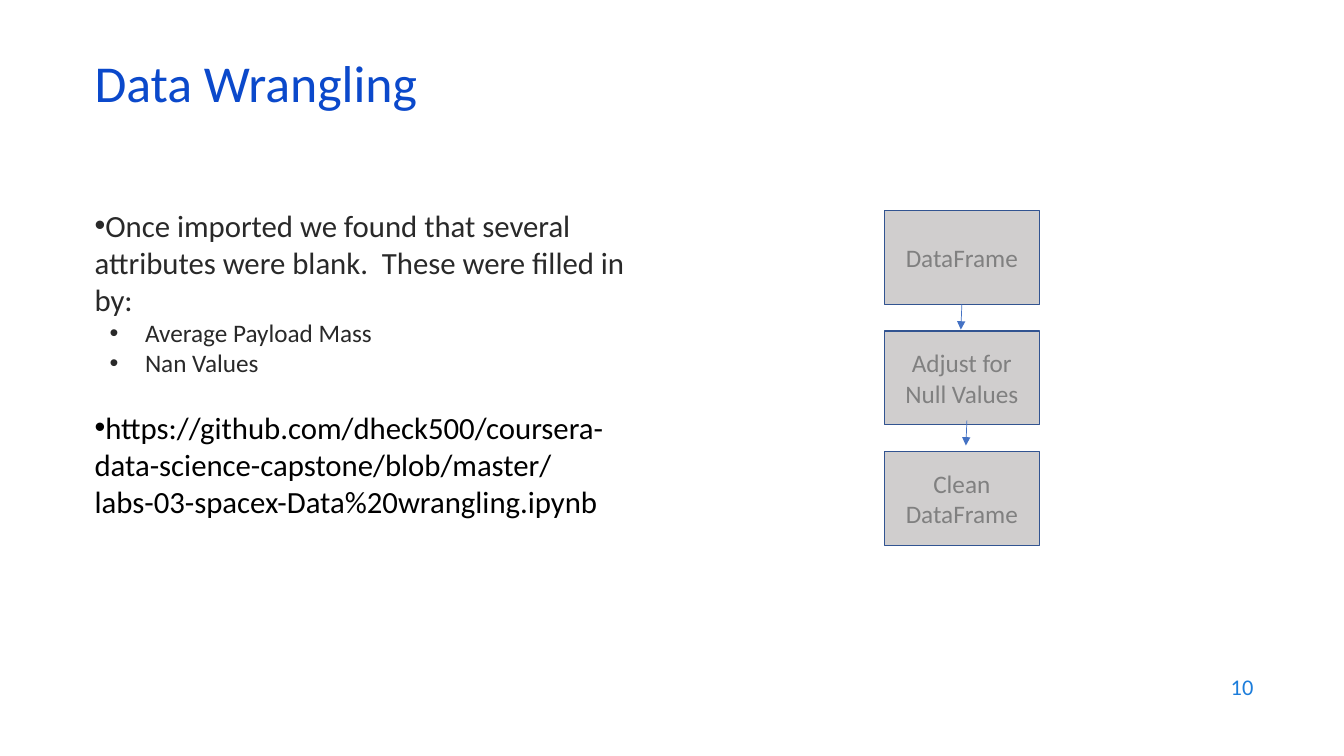
from dataclasses import dataclass
from lxml.etree import SubElement
from pptx import Presentation
from pptx.dml.color import RGBColor
from pptx.enum.shapes import MSO_CONNECTOR, MSO_SHAPE
from pptx.enum.text import MSO_ANCHOR, PP_ALIGN
from pptx.oxml.ns import qn
from pptx.util import Inches, Pt


@dataclass(frozen=True)
class Theme:
    font: str = "Calibri"
    title: str = "0B49CB"
    body: str = "292929"
    link: str = "000000"
    number: str = "1C7DDB"
    label: str = "808080"
    fill: str = "D0CECE"
    edge: str = "325491"
    arrow: str = "4472C4"
    head_size: int = 37
    body_size: int = 22
    sub_size: int = 18
    num_size: int = 16


theme = Theme()


def color(code):
    return RGBColor.from_string(code)


def add_run(para, text, size, code):
    run = para.add_run()
    run.text = text
    run.font.name = theme.font
    run.font.size = Pt(size)
    run.font.color.rgb = color(code)


def add_frame(slide, box, anchor):
    frame = slide.shapes.add_textbox(*map(Inches, box)).text_frame
    frame.word_wrap = True
    frame.vertical_anchor = anchor
    return frame


def add_bullet(para, margin, indent):
    props = para._p.get_or_add_pPr()
    props.set("marL", str(Inches(margin)))
    props.set("indent", str(Inches(indent)))
    SubElement(props, qn("a:buFont"), typeface="Arial")
    SubElement(props, qn("a:buChar"), char="•")


def add_title(slide, box, text):
    para = add_frame(slide, box, MSO_ANCHOR.MIDDLE).paragraphs[0]
    para.line_spacing = 0.7
    add_run(para, text, theme.head_size, theme.title)


def add_number(slide, box, text):
    para = add_frame(slide, box, MSO_ANCHOR.MIDDLE).paragraphs[0]
    para.alignment = PP_ALIGN.RIGHT
    add_run(para, text, theme.num_size, theme.number)


def add_body(slide, box, items):
    frame = add_frame(slide, box, MSO_ANCHOR.TOP)
    for pos, (text, level, code, gap) in enumerate(items):
        para = frame.add_paragraph() if pos else frame.paragraphs[0]
        para.level = level
        add_bullet(para, 0.5 * level, -0.35 * level)
        if gap:
            para.space_before = Pt(gap)
        size = theme.sub_size if level else theme.body_size
        add_run(para, text, size, code)


def add_step(slide, box, text):
    step = slide.shapes.add_shape(MSO_SHAPE.RECTANGLE, *map(Inches, box))
    step.shadow.inherit = False
    step.fill.solid()
    step.fill.fore_color.rgb = color(theme.fill)
    step.line.color.rgb = color(theme.edge)
    step.line.width = Pt(1)
    frame = step.text_frame
    frame.word_wrap = True
    frame.vertical_anchor = MSO_ANCHOR.MIDDLE
    para = frame.paragraphs[0]
    para.alignment = PP_ALIGN.CENTER
    add_run(para, text, theme.sub_size, theme.label)


def add_arrow(slide, start, end):
    arrow = slide.shapes.add_connector(
        MSO_CONNECTOR.STRAIGHT, *map(Inches, start + end))
    arrow.line.color.rgb = color(theme.arrow)
    arrow.line.width = Pt(0.5)
    SubElement(arrow.line._get_or_add_ln(), qn("a:tailEnd"), type="triangle")
    SubElement(arrow._element.spPr, qn("a:effectLst"))


def add_flow(slide, box, steps, arrows):
    left, top, width, height = box
    tall = 0.93
    pitch = (height - tall) / (len(steps) - 1)
    for pos, text in enumerate(steps):
        add_step(slide, (left, top + pos * pitch, width, tall), text)
    for across, down in arrows:
        start = (left + across, top + down)
        end = (start[0] - 0.01, start[1] + 0.25)
        add_arrow(slide, start, end)


def main():
    deck = Presentation()
    deck.slide_width = Inches(13.33)
    deck.slide_height = Inches(7.5)
    slide = deck.slides.add_slide(deck.slide_layouts[6])
    add_number(slide, (9.53, 6.59, 3, 0.44), "10")
    add_body(slide, (0.84, 2, 5.64, 4.76), [
        ("Once imported we found that several attributes were blank.  "
         "These were filled in by:", 0, theme.body, 0),
        ("Average Payload Mass", 1, theme.body, 0),
        ("Nan Values", 1, theme.body, 0),
        ("https://github.com/dheck500/coursera-data-science-capstone/"
         "blob/master/labs-03-spacex-Data%20wrangling.ipynb",
         0, theme.link, 22),
    ])
    add_title(slide, (0.84, 0.59, 11.5, 0.6), "Data Wrangling")
    add_flow(slide, (8.77, 2.09, 1.54, 3.32),
             ["DataFrame", "Adjust for Null Values", "Clean DataFrame"],
             [(0.77, 0.93), (0.82, 2.08)])
    deck.save("out.pptx")


if __name__ == "__main__":
    main()
